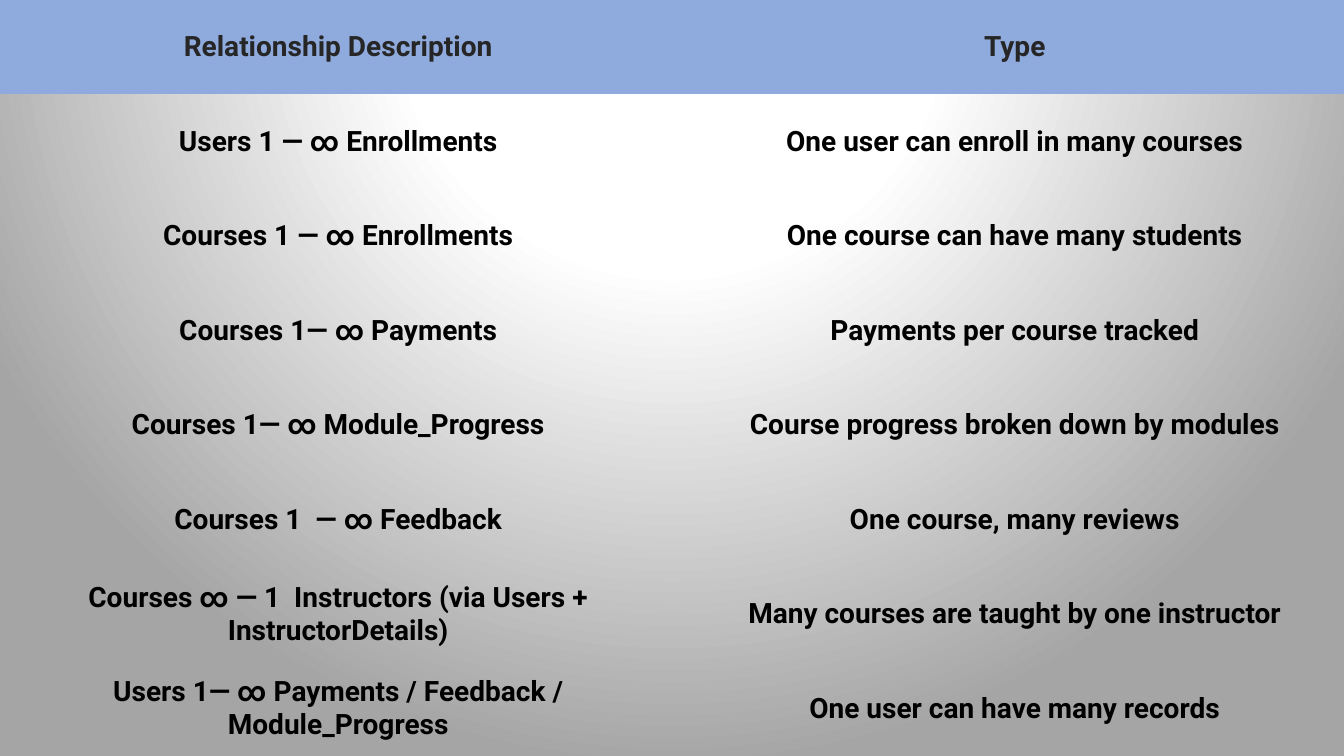
from pptx import Presentation
from pptx.dml.color import RGBColor
from pptx.enum.text import MSO_ANCHOR, PP_ALIGN
from pptx.oxml import parse_xml
from pptx.oxml.ns import nsdecls, qn
from pptx.util import Inches, Pt

COLORS = {
    "header": "8FAADC",
    "header_text": "262626",
    "text": "000000",
    "glow": "FFFFFF",
    "edge": "A5A5A5",
}
NO_STYLE_NO_GRID = "{2D5ABB26-0587-4C30-8999-92F81FD0307C}"

RELATIONSHIPS = [
    ("Relationship Description", "Type"),
    ("Users 1 — ∞ Enrollments", "One user can enroll in many courses"),
    ("Courses 1 — ∞ Enrollments", "One course can have many students"),
    ("Courses 1— ∞ Payments", "Payments per course tracked"),
    ("Courses 1— ∞ Module_Progress", "Course progress broken down by modules"),
    ("Courses 1  — ∞ Feedback", "One course, many reviews"),
    ("Courses ∞ — 1  Instructors (via Users + InstructorDetails)",
     "Many courses are taught by one instructor"),
    ("Users 1— ∞ Payments / Feedback / Module_Progress",
     "One user can have many records"),
]


class SlideBuilder:
    font = "Roboto"
    size = Pt(20)

    def __init__(self, prs):
        self.s = prs.slides.add_slide(prs.slide_layouts[6])

    def radial_background(self, stops):
        """Fill the background with circles centred above the top edge."""
        self.s.background.fill.gradient()
        grad = self.s._element.find(".//" + qn("a:gradFill"))
        stop_xml = "".join(
            f'<a:gs pos="{pos * 1000}"><a:srgbClr val="{COLORS[name]}"/></a:gs>'
            for pos, name in stops)
        new_grad = parse_xml(
            f'<a:gradFill {nsdecls("a")} rotWithShape="1">'
            f'<a:gsLst>{stop_xml}</a:gsLst><a:path path="circle">'
            '<a:fillToRect l="50000" t="-80000" r="50000" b="180000"/>'
            '</a:path></a:gradFill>')
        grad.getparent().replace(grad, new_grad)

    def cell(self, cell, text, header):
        cell.margin_left = cell.margin_right = 0
        cell.margin_top = cell.margin_bottom = 0
        cell.vertical_anchor = MSO_ANCHOR.MIDDLE
        if header:
            cell.fill.solid()
            cell.fill.fore_color.rgb = RGBColor.from_string(COLORS["header"])
        else:
            cell.fill.background()
        p = cell.text_frame.paragraphs[0]
        p.alignment = PP_ALIGN.CENTER
        r = p.add_run()
        r.text = text
        r.font.name = self.font
        r.font.size = self.size
        r.font.bold = True
        color = COLORS["header_text" if header else "text"]
        r.font.color.rgb = RGBColor.from_string(color)

    def table(self, rows, left, top, width, height):
        frame = self.s.shapes.add_table(
            len(rows), len(rows[0]), left, top, width, height)
        table = frame.table
        table.horz_banding = False
        style = frame._element.find(".//" + qn("a:tableStyleId"))
        style.text = NO_STYLE_NO_GRID
        for i, row in enumerate(rows):
            for j, text in enumerate(row):
                self.cell(table.cell(i, j), text, header=i == 0)


def main():
    prs = Presentation()
    prs.slide_width = Inches(13.33)
    prs.slide_height = Inches(7.5)
    slide = SlideBuilder(prs)
    slide.radial_background([(0, "glow"), (35, "glow"), (100, "edge")])
    slide.table(RELATIONSHIPS, 0, 0, Inches(13.42), Inches(7.5))
    prs.save("out.pptx")


if __name__ == "__main__":
    main()
